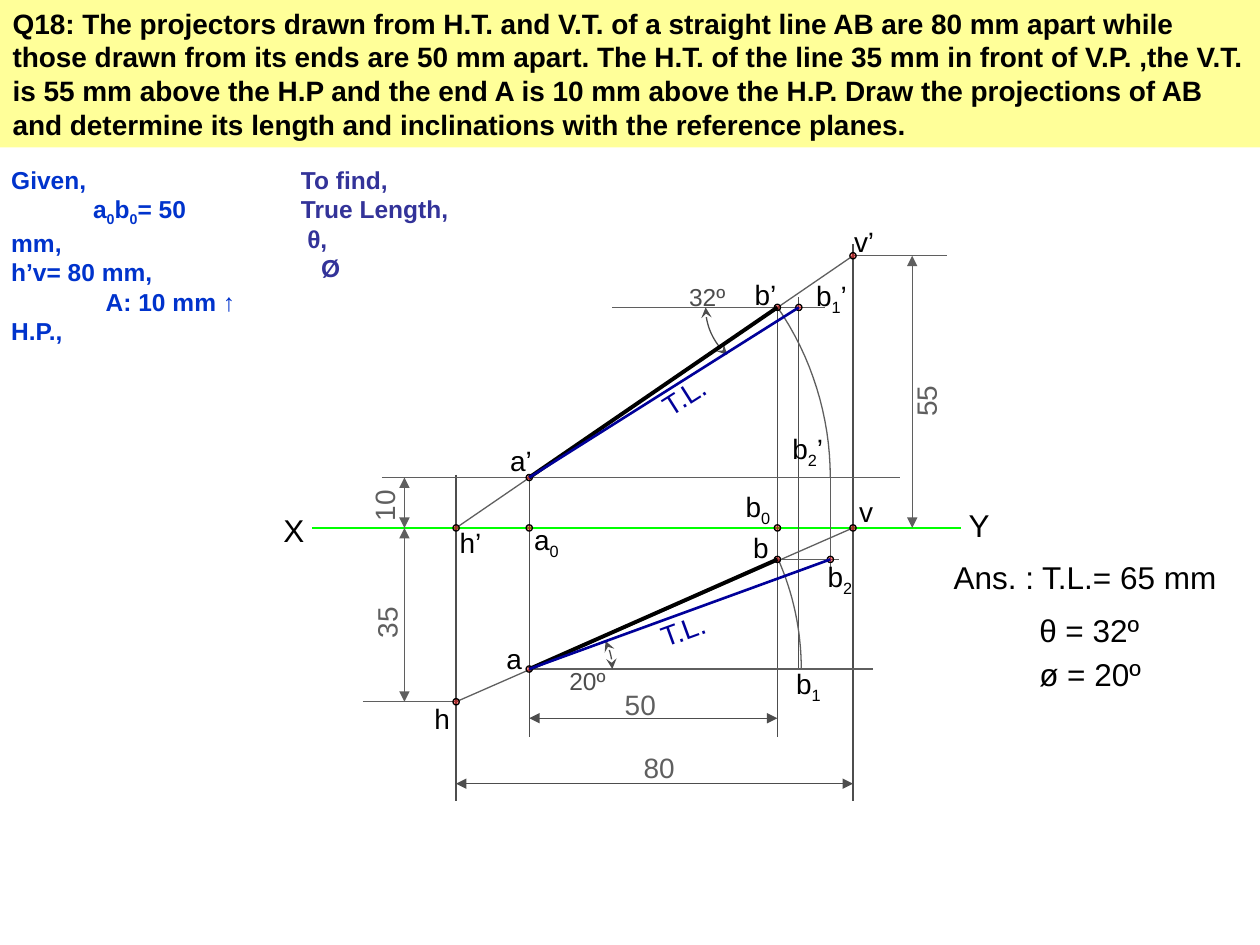
from dataclasses import dataclass
from math import cos, radians, sin

from lxml import etree
from pptx import Presentation
from pptx.dml.color import RGBColor
from pptx.enum.shapes import MSO_CONNECTOR, MSO_SHAPE
from pptx.enum.text import MSO_ANCHOR, PP_ALIGN
from pptx.oxml.ns import qn
from pptx.util import Inches, Pt

STRAIGHT = MSO_CONNECTOR.STRAIGHT
OVAL = MSO_SHAPE.OVAL
TOP = MSO_ANCHOR.TOP
LEFT = PP_ALIGN.LEFT
TITLE_ONLY = 5


@dataclass(frozen=True)
class Theme:
    font: str = "Arial"
    black: str = "000000"
    banner: str = "FFFF99"
    given: str = "0033CC"
    find: str = "333399"
    true_length: str = "000099"
    dark: str = "4D4D4D"
    grey: str = "5F5F5F"
    axis: str = "00FF00"
    dot: str = "FF0000"
    large: int = 18
    medium: int = 16
    small: int = 14
    thin: float = 0.75
    middle: float = 1.5
    thick: float = 2.25


THEME = Theme()

QUESTION = (
    "Q18: The projectors drawn from H.T. and V.T. of a straight line AB are 80 mm apart "
    "while those drawn from its ends are 50 mm apart. The H.T. of the line 35 mm in front "
    "of V.P. ,the V.T. is 55 mm above the H.P and the end A is 10 mm above the H.P. Draw "
    "the projections of AB and determine its length and inclinations with the reference planes."
)
GIVEN = [("Given,", 0), ("a_0b_0= 50", 0.65), ("mm,", 0), ("h’v= 80 mm,", 0),
         ("A: 10 mm ↑", 0.75), ("H.P.,", 0)]
TO_FIND = [("To find,", 0), ("True Length,", 0), ("θ,", 0.05), ("Ø", 0.16)]
ANSWERS = [("Ans. : T.L.= 65 mm", 0, 0, 2.37), ("θ = 32º", 0.68, 0.42, 1.27),
           ("ø = 20º", 0.68, 0.77, 1.41)]


def format_run(run, size, color, bold=False):
    run.font.name = THEME.font
    run.font.size = Pt(size)
    run.font.bold = bold
    run.font.color.rgb = RGBColor.from_string(color)


def write_line(paragraph, text, size, color, bold=False):
    first, *rest = text.split("_")
    pieces = [(first, False)]
    for part in rest:
        pieces += [(part[0], True), (part[1:], False)]
    for piece, lowered in pieces:
        if piece:
            run = paragraph.add_run()
            run.text = piece
            format_run(run, size, color, bold)
            if lowered:
                run.font._element.set("baseline", "-25000")


def add_lines(slide, box, lines, size, color, bold=False, rotation=0):
    shape = slide.shapes.add_textbox(*map(Inches, box))
    shape.rotation = rotation
    frame = shape.text_frame
    frame.word_wrap = True
    for index, (text, indent) in enumerate(lines):
        paragraph = frame.add_paragraph() if index else frame.paragraphs[0]
        paragraph._p.get_or_add_pPr().set("indent", str(Inches(indent)))
        write_line(paragraph, text, size, color, bold)


def add_arrowheads(shape, kind):
    line = shape.line._get_or_add_ln()
    for end in ("a:headEnd", "a:tailEnd"):
        etree.SubElement(line, qn(end)).set("type", kind)


def add_question(slide, box):
    title = slide.shapes.title
    title.left, title.top, title.width, title.height = map(Inches, box)
    title.fill.solid()
    title.fill.fore_color.rgb = RGBColor.from_string(THEME.banner)
    frame = title.text_frame
    frame.text = QUESTION
    frame.vertical_anchor = TOP
    paragraph = frame.paragraphs[0]
    paragraph.alignment = LEFT
    format_run(paragraph.runs[0], THEME.medium, THEME.black, True)


def add_answers(slide, box):
    left, top = box
    for text, x, y, width in ANSWERS:
        add_lines(slide, (left + x, top + y, width, 0.4), [(text, 0)], THEME.large, THEME.black)


def add_projections(slide, box):
    left, top = box
    shapes = slide.shapes
    h_x, a_x, b_x, b1_x, b2_x, v_x = 1.62, 2.2, 4.17, 4.34, 4.59, 4.77
    vt_y, b_front, a_front, xy, b_top, a_top, h_y = 0.53, 0.94, 2.29, 2.69, 2.94, 3.81, 4.07

    def line(x1, y1, x2, y2, color=THEME.grey, width=THEME.thin, arrows=False):
        connector = shapes.add_connector(STRAIGHT, Inches(left + x1), Inches(top + y1),
                                         Inches(left + x2), Inches(top + y2))
        connector.line.color.rgb = RGBColor.from_string(color)
        connector.line.width = Pt(width)
        etree.SubElement(connector._element.spPr, qn("a:effectLst"))
        if arrows:
            add_arrowheads(connector, "triangle")

    def arc(x, y, radius, start, end, color=THEME.grey, arrows=False):
        steps = 16
        angles = [radians(start + (end - start) * i / steps) for i in range(steps + 1)]
        points = [(Inches(left + x + radius * cos(angle)), Inches(top + y + radius * sin(angle)))
                  for angle in angles]
        builder = shapes.build_freeform(*points[0])
        builder.add_line_segments(points[1:], close=False)
        shape = builder.convert_to_shape()
        shape.shadow.inherit = False
        shape.fill.background()
        shape.line.color.rgb = RGBColor.from_string(color)
        shape.line.width = Pt(THEME.thin)
        if arrows:
            add_arrowheads(shape, "stealth")

    def dot(x, y, size=0.05):
        shape = shapes.add_shape(OVAL, Inches(left + x - size / 2), Inches(top + y - size / 2),
                                 Inches(size), Inches(size))
        shape.shadow.inherit = False
        shape.fill.solid()
        shape.fill.fore_color.rgb = RGBColor.from_string(THEME.dot)
        color = shape._element.spPr.find(qn("a:solidFill"))[0]
        etree.SubElement(color, qn("a:alpha")).set("val", "46000")
        shape.line.color.rgb = RGBColor.from_string(THEME.black)
        shape.line.width = Pt(THEME.thin)

    def label(text, x, y, width=0.46, size=THEME.medium, color=THEME.black, rotation=0):
        height = {THEME.large: 0.4, THEME.medium: 0.37, THEME.small: 0.33}[size]
        add_lines(slide, (left + x, top + y, width, height), [(text, 0)], size, color,
                  rotation=rotation)

    line(0.48, xy, 5.63, xy, THEME.axis)
    for x, start, end in [(h_x, 2.27, 4.86), (v_x, 0.44, 4.86), (a_x, a_front, 4.35),
                          (b_x, b_front, 4.35), (b1_x, 0.86, a_top)]:
        line(x, start, x, end, THEME.dark)
    line(b2_x, a_front, b2_x, 3.04)
    for y, start, end in [(h_y, 0.88, h_x), (vt_y, v_x, 5.52), (a_front, 1.03, 5.14),
                          (a_top, a_x, 4.93), (b_front, 2.86, 4.55), (b_top, b_x, 4.66)]:
        line(start, y, end, y)
    line(h_x, xy, v_x, vt_y)
    line(h_x, h_y, v_x, xy)

    for x1, x2, y in [(h_x, v_x, 4.72), (a_x, b_x, 4.2)]:
        line(x1, y, x2, y, THEME.dark, arrows=True)
    for x, y1, y2 in [(1.21, xy, h_y), (1.21, a_front, xy), (5.24, vt_y, xy)]:
        line(x, y1, x, y2, arrows=True)
    for text, x, y, rotation in [("80", 3.01, 4.41, 0), ("50", 2.86, 3.91, 0),
                                 ("35", 0.76, 3.17, 270), ("10", 0.74, 2.24, 270),
                                 ("55", 5.04, 1.41, 270)]:
        label(text, x, y, 0.62, color=THEME.grey, rotation=rotation)

    arc(a_x, a_top, 2.16, -24, 0)
    arc(a_x, a_front, 2.39, -34.5, 0)
    arc(4.1, b_front, 0.5, 131, 180, THEME.dark, True)
    arc(2.37, a_top, 0.49, -27, 0, THEME.dark, True)
    label("32º", 3.37, 0.69, 0.55, THEME.small, THEME.dark)
    label("20º", 2.42, 3.74, 0.55, THEME.small, THEME.dark)

    for x, y in [(h_x, xy), (v_x, xy), (h_x, h_y), (v_x, vt_y), (a_x, a_front),
                 (a_x, a_top), (a_x, xy), (b_x, b_front), (b_x, b_top), (b_x, xy),
                 (b1_x, b_front), (b2_x, b_top)]:
        dot(x, y)
    for start, end, true_x, y, rotation in [(a_front, b_front, b1_x, 1.42, 327.7),
                                            (a_top, b_top, b2_x, 3.29, 340)]:
        line(a_x, start, b_x, end, THEME.black, THEME.thick)
        line(a_x, start, true_x, end, THEME.true_length, THEME.middle)
        label("T.L.", 3.14, y, 0.7, color=THEME.true_length, rotation=rotation)

    for text, x, y in [("h’", 1.55, 2.62), ("v", 4.72, 2.38), ("h", 1.35, 4.02),
                       ("v’", 4.68, 0.23), ("a’", 1.95, 1.97), ("a", 1.92, 3.54),
                       ("a_0", 2.14, 2.6), ("b’", 3.89, 0.65), ("b", 3.88, 2.66),
                       ("b_0", 3.82, 2.34), ("b_1", 4.22, 3.74), ("b_1’", 4.38, 0.66),
                       ("b_2’", 4.19, 1.88), ("b_2", 4.47, 2.89)]:
        label(text, x, y)
    label("X", 0.15, 2.51, 0.59, THEME.large)
    label("Y", 5.59, 2.47, 0.53, THEME.large)


def main():
    presentation = Presentation()
    presentation.slide_width = Inches(10)
    presentation.slide_height = Inches(7.5)
    slide = presentation.slides.add_slide(presentation.slide_layouts[TITLE_ONLY])
    add_question(slide, (0, 0, 10, 1.17))
    add_lines(slide, (-0.01, 1.26, 1.99, 1.03), GIVEN, THEME.small, THEME.given, True)
    add_lines(slide, (2.29, 1.26, 1.49, 1.03), TO_FIND, THEME.small, THEME.find, True)
    add_projections(slide, (2, 1.5))
    add_answers(slide, (7.47, 4.38))
    presentation.save("out.pptx")


if __name__ == "__main__":
    main()
